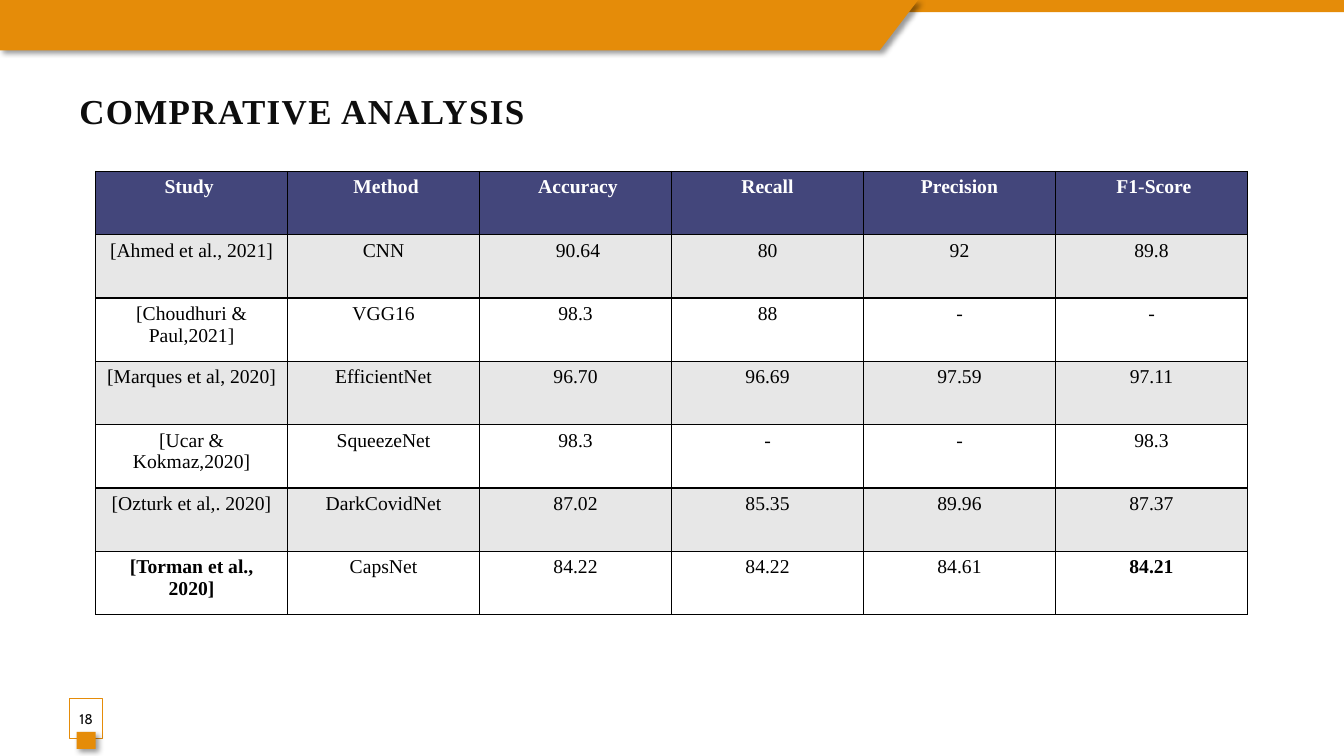
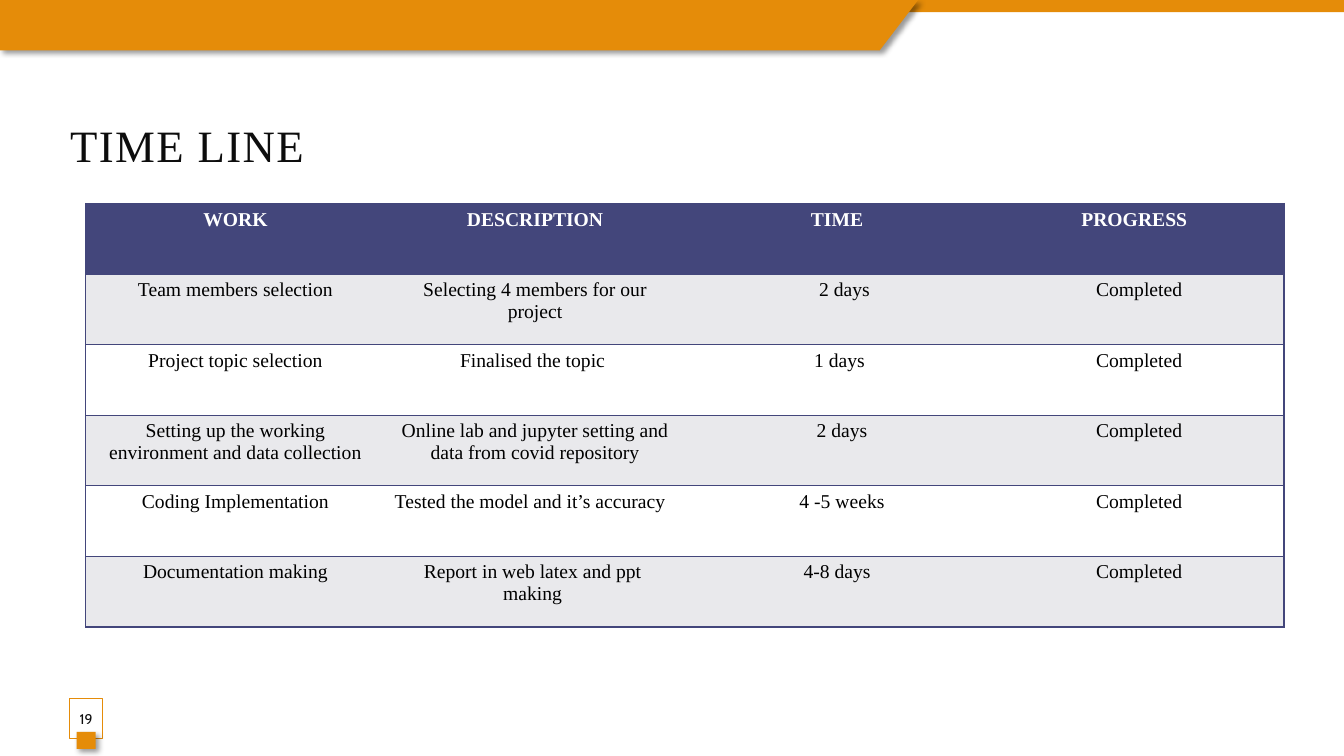
"""Build two table slides: a comparative analysis and a project time line."""
import lxml.etree
import pptx
import pptx.dml.color
import pptx.enum.shapes
import pptx.enum.text
import pptx.oxml.ns
import pptx.util

Cm = pptx.util.Cm
Pt = pptx.util.Pt
qn = pptx.oxml.ns.qn
ALIGN = pptx.enum.text.PP_ALIGN
ANCHOR = pptx.enum.text.MSO_ANCHOR
RECT = pptx.enum.shapes.MSO_SHAPE.RECTANGLE


class Theme:
    """Colours, fonts and type sizes."""
    gold = "E58C09"
    navy = "43467B"
    ink = "0D0D0D"
    black = "000000"
    white = "FFFFFF"
    serif = "Times New Roman"
    sans = "Cabin"
    cell = 14
    badge = 10
    space = 3.5


SLIDES = [
    {
        "title": "COMPRATIVE ANALYSIS", "size": 25, "bold": True,
        "spot": (1.75, 2.06), "base": 0.5, "page": "18",
        "table": (2.41, 4.32, 29.03, 11.17),
        "line": Theme.black, "grid": True, "tint": "E7E7E7",
        "rows": [
            ("Study", "Method", "Accuracy", "Recall", "Precision", "F1-Score"),
            ("[Ahmed et al., 2021]", "CNN", "90.64", "80", "92", "89.8"),
            ("[Choudhuri & Paul,2021]", "VGG16", "98.3", "88", "-", "-"),
            ("[Marques et al, 2020]", "EfficientNet", "96.70", "96.69", "97.59", "97.11"),
            ("[Ucar & Kokmaz,2020]", "SqueezeNet", "98.3", "-", "-", "98.3"),
            ("[Ozturk et al,. 2020]", "DarkCovidNet", "87.02", "85.35", "89.96", "87.37"),
            ("[Torman et al., 2020]", "CapsNet", "84.22", "84.22", "84.61", "84.21"),
        ],
        "strong": {(6, 0), (6, 5)},
        "shift": {(0, 0): -1, (0, 1): 1, (0, 2): 1, (0, 5): 1, (1, 2): 1},
    },
    {
        "title": "TIME LINE", "size": 32, "bold": False,
        "spot": (1.52, 2.74), "base": 0.13, "page": "19",
        "table": (2.16, 5.13, 30.2, 10.67),
        "line": Theme.navy, "grid": False, "tint": "E9E9EC",
        "rows": [
            ("WORK", "DESCRIPTION", "TIME", "PROGRESS"),
            ("Team members selection", "Selecting 4 members for our project",
             "2 days", "Completed"),
            ("Project topic selection", "Finalised the topic", "1 days", "Completed"),
            ("Setting up the working environment and data collection",
             "Online lab and jupyter setting and data from covid repository",
             "2 days", "Completed"),
            ("Coding Implementation", "Tested the model and it’s accuracy",
             "4 -5 weeks", "Completed"),
            ("Documentation making", "Report in web latex and ppt making",
             "4-8 days", "Completed"),
        ],
        "strong": set(),
        "shift": {(0, 2): 1, (1, 2): 4, (2, 1): -1, (2, 2): 2, (3, 2): 3,
                  (4, 1): -2, (4, 2): 3, (5, 1): -1, (5, 2): 1,
                  **{(row, 3): 2 for row in range(1, 6)}},
    },
]


def tint(code):
    return pptx.dml.color.RGBColor.from_string(code)


def node(host, tag, **attrs):
    return lxml.etree.SubElement(host, qn(tag), attrs)


def paint(shape, code, edge=None):
    shape.shadow.inherit = False
    shape.fill.solid()
    shape.fill.fore_color.rgb = tint(code)
    if edge:
        shape.line.color.rgb = tint(edge)
        shape.line.width = Pt(0.75)
    else:
        shape.line.fill.background()


def shade(shape):
    glow = node(shape._element.spPr.find(qn("a:effectLst")), "a:outerShdw",
                blurRad=str(Pt(4)), dist=str(Pt(3)), dir=str(45 * 60000),
                algn="tl", rotWithShape="0")
    node(node(glow, "a:srgbClr", val=Theme.black), "a:alpha", val="40000")


def box(slide, place, code, edge=None):
    shape = slide.shapes.add_shape(RECT, *map(Cm, place))
    paint(shape, code, edge)
    return shape


def write(para, text, size, code, face=Theme.serif, bold=False):
    run = para.add_run()
    run.text = text
    run.font.size = Pt(size)
    run.font.name = face
    run.font.bold = bold
    run.font.color.rgb = tint(code)
    return run


def add_bands(slide, width):
    box(slide, (0, 0, width, 0.31), Theme.gold)
    pen = slide.shapes.build_freeform(0, 0)
    pen.add_line_segments([(Cm(x), Cm(y)) for x, y in
                           ((23.14, 0), (22.17, 1.27), (0, 1.27))])
    band = pen.convert_to_shape()
    paint(band, Theme.gold)
    shade(band)


def add_title(slide, data):
    left, top = data["spot"]
    frame = slide.shapes.add_textbox(Cm(left), Cm(top), Cm(30.02), Cm(1.96)).text_frame
    frame.word_wrap = True
    frame.vertical_anchor = ANCHOR.MIDDLE
    frame.margin_bottom = Cm(data["base"])
    para = frame.paragraphs[0]
    para.line_spacing = 0.9
    run = write(para, data["title"], data["size"], Theme.ink, bold=data["bold"])
    run.font._element.set("spc", "100")


def add_badge(slide, page):
    badge = box(slide, (1.75, 17.6, 0.84, 1.02), Theme.white, Theme.gold)
    fill = badge._element.spPr.find(qn("a:solidFill"))
    node(fill[0], "a:alpha", val="82000")
    frame = badge.text_frame
    frame.margin_left = frame.margin_right = 0
    frame.vertical_anchor = ANCHOR.MIDDLE
    para = frame.paragraphs[0]
    para.alignment = ALIGN.CENTER
    write(para, page, Theme.badge, Theme.ink, Theme.sans)
    shade(box(slide, (1.93, 18.44, 0.48, 0.43), Theme.gold))


def edge_cell(cell, code, sides):
    props = cell._tc.get_or_add_tcPr()
    for side in "LRTB":
        line = node(props, "a:ln" + side, w=str(Pt(1)))
        if side in sides:
            node(node(line, "a:solidFill"), "a:srgbClr", val=code)
        else:
            node(line, "a:noFill")


def add_table(slide, data):
    rows = data["rows"]
    high, wide = len(rows), len(rows[0])
    left, top, width, height = map(Cm, data["table"])
    table = slide.shapes.add_table(high, wide, left, top, width, height).table
    for col in table.columns:
        col.width = width // wide
    for row in table.rows:
        row.height = height // high
    for y, words in enumerate(rows):
        back = Theme.navy if y == 0 else data["tint"] if y % 2 else Theme.white
        for x, text in enumerate(words):
            cell = table.cell(y, x)
            sides = "TB"
            if data["grid"] or x == 0:
                sides += "L"
            if data["grid"] or x == wide - 1:
                sides += "R"
            edge_cell(cell, data["line"], sides)
            cell.fill.solid()
            cell.fill.fore_color.rgb = tint(back)
            nudge = Pt(data["shift"].get((y, x), 0) * Theme.space / 2)
            cell.margin_left = Cm(0.25) + nudge
            cell.margin_right = Cm(0.25) - nudge
            para = cell.text_frame.paragraphs[0]
            para.alignment = ALIGN.CENTER
            write(para, text, Theme.cell, Theme.black if y else Theme.white,
                  bold=y == 0 or (y, x) in data["strong"])


def main():
    deck = pptx.Presentation()
    width = 33.87
    deck.slide_width, deck.slide_height = Cm(width), Cm(19.05)
    for data in SLIDES:
        slide = deck.slides.add_slide(deck.slide_layouts[6])
        add_bands(slide, width)
        add_title(slide, data)
        add_badge(slide, data["page"])
        add_table(slide, data)
    deck.save("out.pptx")


if __name__ == "__main__":
    main()
